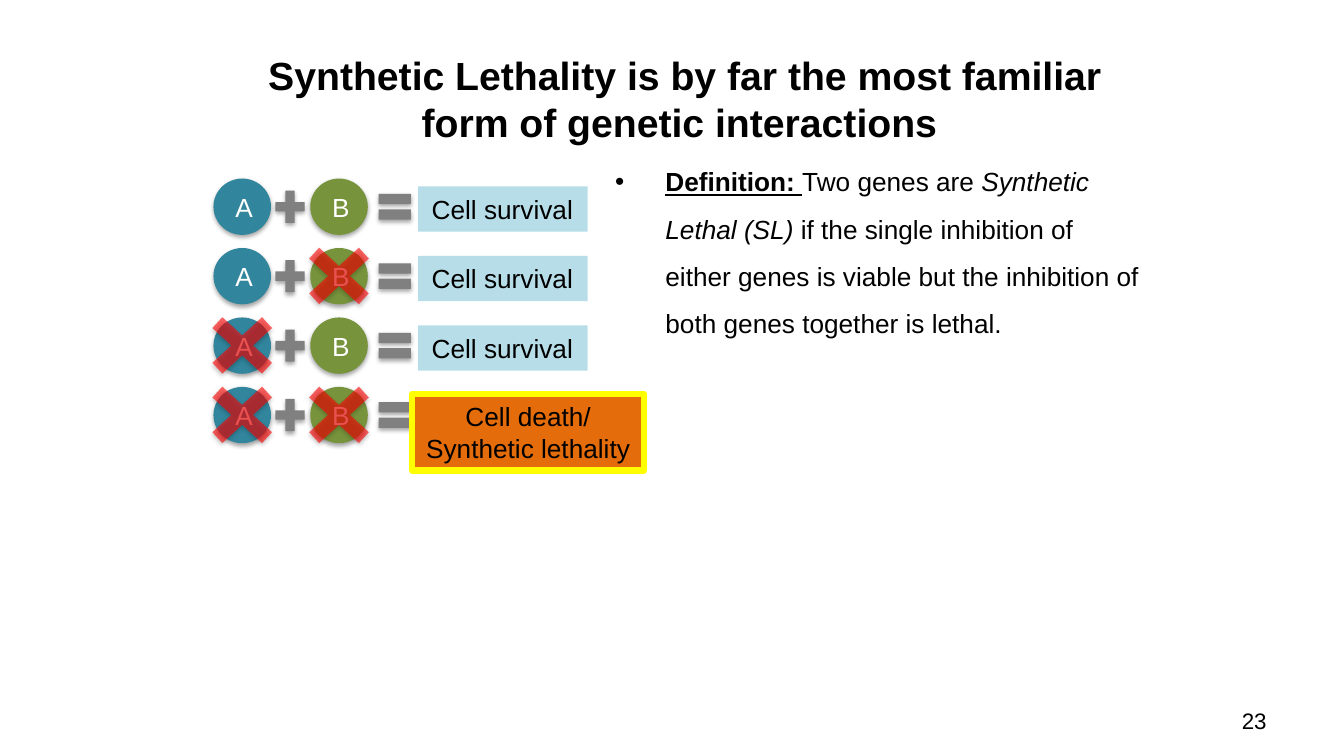
from dataclasses import dataclass

from lxml import etree
from pptx import Presentation
from pptx.dml.color import RGBColor
from pptx.enum.shapes import MSO_SHAPE as Preset
from pptx.enum.text import MSO_ANCHOR as Anchor, MSO_AUTO_SIZE as AutoSize, PP_ALIGN as Align
from pptx.oxml.ns import qn
from pptx.util import Cm, Pt


@dataclass(frozen=True)
class Theme:
    font: str = "Arial"
    title_size: float = 28
    body_size: float = 18.7
    number_size: float = 16
    black: str = "000000"
    white: str = "FFFFFF"
    gene_a: str = "31859C"
    gene_b: str = "77933C"
    operator: str = "808080"
    survival: str = "B7DEE8"
    death: str = "E46C0A"
    highlight: str = "FFFF00"
    inhibited: str = "FF0000"


theme = Theme()


def write(paragraph, text, size=theme.body_size, color=theme.black,
          bold=False, italic=False, underline=False, align=None):
    if align is not None:
        paragraph.alignment = align
    run = paragraph.add_run()
    run.text = text
    font = run.font
    font.name, font.size = theme.font, Pt(size)
    font.bold, font.italic, font.underline = bold, italic, underline
    font.color.rgb = RGBColor.from_string(color)


def add_part(preset, left, top, width, height, color, shadow=True):
    shape = slide.shapes.add_shape(preset, Cm(left), Cm(top), Cm(width), Cm(height))
    shape.fill.solid()
    shape.fill.fore_color.rgb = RGBColor.from_string(color)
    shape.line.fill.background()
    shape.shadow.inherit = False
    if shadow:
        effects = shape._element.spPr.find(qn("a:effectLst"))
        outer = etree.SubElement(effects, qn("a:outerShdw"), blurRad="40000",
                                 dist="23000", dir="5400000", rotWithShape="0")
        shade = etree.SubElement(outer, qn("a:srgbClr"), val=theme.black)
        etree.SubElement(shade, qn("a:alpha"), val="35000")
    return shape


presentation = Presentation()
presentation.slide_width, presentation.slide_height = Cm(33.87), Cm(19.05)
slide = presentation.slides.add_slide(presentation.slide_layouts[5])

# Title
title = slide.shapes.title
title.left, title.top, title.width, title.height = Cm(5.69), Cm(1.12), Cm(22.86), Cm(1.93)
title.text_frame.auto_size = AutoSize.NONE
title.text_frame.vertical_anchor = Anchor.TOP
write(title.text_frame.paragraphs[0],
      " Synthetic Lethality is by far the most familiar form of genetic interactions",
      size=theme.title_size, bold=True, align=Align.CENTER)

# Definition
definition = slide.shapes.add_textbox(Cm(15.16), Cm(3.61), Cm(13.97), Cm(4.6))
definition.text_frame.word_wrap = True
paragraph = definition.text_frame.paragraphs[0]
properties = paragraph._p.get_or_add_pPr()
properties.set("marL", str(Cm(1.27)))
properties.set("indent", str(-Cm(1.27)))
etree.SubElement(properties, qn("a:buFont"), typeface=theme.font)
etree.SubElement(properties, qn("a:buChar"), char="•")
paragraph.line_spacing = 1.5
write(paragraph, "Definition: ", bold=True, underline=True)
write(paragraph, "Two genes are ")
write(paragraph, "Synthetic Lethal (SL)", italic=True)
write(paragraph, " if the single inhibition of either genes is viable "
                 "but the inhibition of both genes together is lethal.")

# Slide number
number = slide.shapes.add_textbox(Cm(24.28), Cm(17.65), Cm(7.98), Cm(1.02))
number.text_frame.word_wrap = True
number.text_frame.vertical_anchor = Anchor.MIDDLE
write(number.text_frame.paragraphs[0], "23", size=theme.number_size, align=Align.RIGHT)

# Gene combinations: one row each, listing the inhibited genes
genes = [("A", 5.38, theme.gene_a), ("B", 7.82, theme.gene_b)]
for row, inhibited in enumerate(["", "B", "A", "AB"]):
    top = 4.5 + 1.75 * row
    for name, left, color in genes:
        gene = add_part(Preset.OVAL, left, top, 1.45, 1.42, color)
        gene.text_frame.vertical_anchor = Anchor.MIDDLE
        write(gene.text_frame.paragraphs[0], name, color=theme.white, align=Align.CENTER)
        if name in inhibited:
            cross = add_part(Preset.MATH_MULTIPLY, left - 0.48, top - 0.4, 2.41, 2.21,
                             theme.inhibited)
            cross.adjustments[0] = 0.168
            tint = cross._element.spPr.find(qn("a:solidFill"))[0]
            etree.SubElement(tint, qn("a:alpha"), val="60000")
    add_part(Preset.MATH_PLUS, 6.81, top + 0.16, 1, 1.1, theme.operator)
    add_part(Preset.MATH_EQUAL, 9.4, top + 0.16, 1.1, 1.1, theme.operator)

    # Outcome of the combination
    if inhibited == "AB":
        outcome = add_part(Preset.RECTANGLE, 10.39, 9.93, 5.84, 1.93, theme.death, shadow=False)
        outcome.line.color.rgb = RGBColor.from_string(theme.highlight)
        outcome.line.width = Pt(4.5)
        lines, align = ["Cell death/", "Synthetic lethality"], Align.CENTER
    else:
        outcome = add_part(Preset.RECTANGLE, 10.54, top + 0.2, 4.27, 1.14,
                           theme.survival, shadow=False)
        lines, align = ["Cell survival"], Align.LEFT
    frame = outcome.text_frame
    frame.word_wrap = False
    frame.auto_size = AutoSize.SHAPE_TO_FIT_TEXT
    frame.vertical_anchor = Anchor.TOP
    for index, line in enumerate(lines):
        paragraph = frame.add_paragraph() if index else frame.paragraphs[0]
        write(paragraph, line, align=align)

# Shared text margins
for shape in slide.shapes:
    frame = shape.text_frame
    frame.margin_left = frame.margin_right = Cm(0.34)
    frame.margin_top = frame.margin_bottom = Cm(0.17)

presentation.save("out.pptx")
